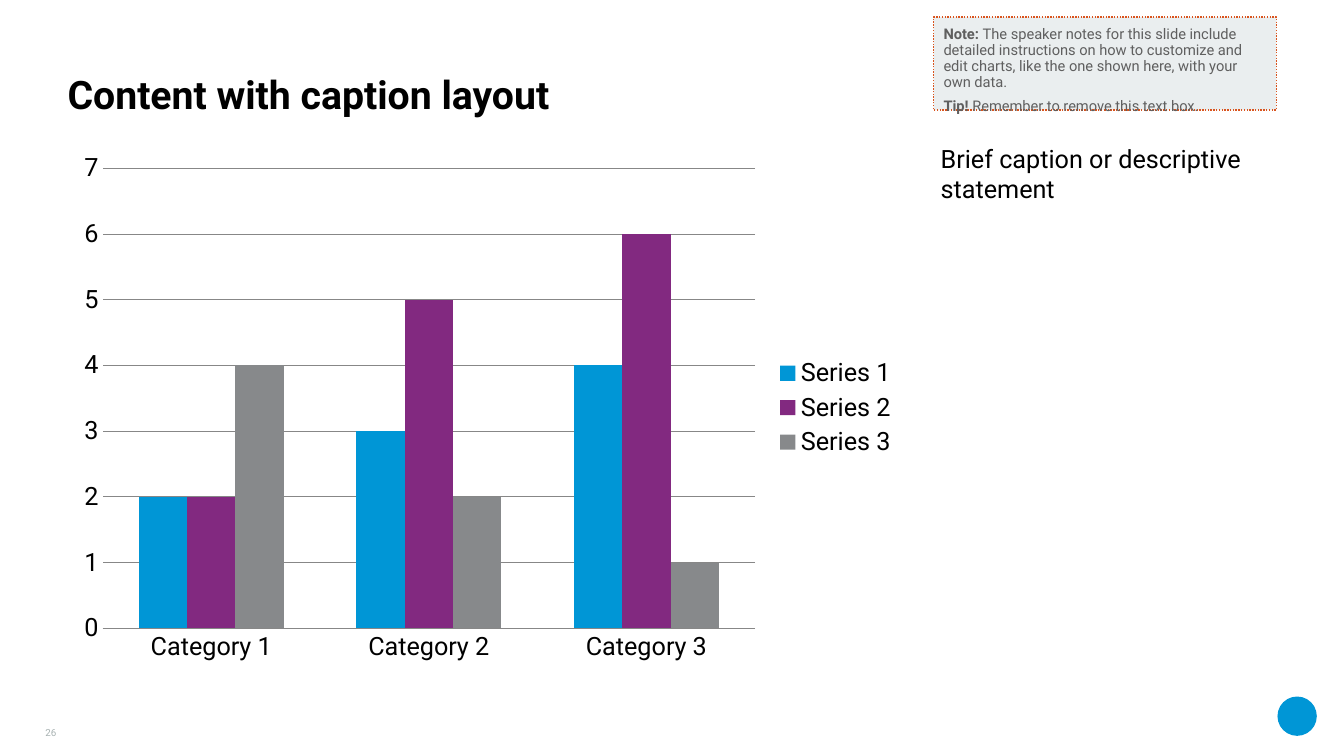
from pptx import Presentation
from pptx.chart.data import CategoryChartData
from pptx.dml.color import RGBColor
from pptx.enum.chart import XL_CHART_TYPE as ChartType
from pptx.enum.chart import XL_LEGEND_POSITION as LegendPosition
from pptx.enum.chart import XL_TICK_MARK as TickMark
from pptx.enum.dml import MSO_LINE_DASH_STYLE as DashStyle
from pptx.enum.shapes import MSO_SHAPE as ShapeKind
from pptx.enum.text import MSO_ANCHOR as Anchor
from pptx.enum.text import PP_ALIGN as Align
from pptx.util import Inches, Pt

FONT = "Roboto"
COLORS = {
    "text": "000000",
    "blue": "0096D6",
    "purple": "822980",
    "gray": "87898B",
    "grid": "878787",
    "plot": "FFFFFF",
    "note_fill": "EAEEEF",
    "note_line": "D9541E",
    "note_text": "5F5F5F",
    "page_number": "A8B2B2",
}
CATEGORIES = ["Category 1", "Category 2", "Category 3"]
SERIES = [
    ("Series 1", (2, 3, 4), "blue"),
    ("Series 2", (2, 5, 6), "purple"),
    ("Series 3", (4, 2, 1), "gray"),
]
NOTES = [
    ("Note: ", "The speaker notes for this slide include detailed instructions on how "
               "to customize and edit charts, like the one shown here, with your own data."),
    ("Tip! ", "Remember to remove this text box."),
]


def color(name):
    return RGBColor.from_string(COLORS[name])


def box(left, top, width, height):
    return [Inches(value) for value in (left, top, width, height)]


def style_font(font, size, color_name, bold=None):
    font.name = FONT
    font.size = Pt(size)
    font.bold = bold
    font.color.rgb = color(color_name)


def style_line(line, color_name, width):
    line.color.rgb = color(color_name)
    line.width = Pt(width)


def set_frame(frame, margin=0, anchor=Anchor.TOP):
    frame.word_wrap = True
    frame.vertical_anchor = anchor
    frame.margin_left = frame.margin_right = Inches(margin)
    frame.margin_top = frame.margin_bottom = Inches(margin)


def add_text(slide, position, text, size, color_name="text", bold=None,
             anchor=Anchor.TOP, align=Align.LEFT):
    frame = slide.shapes.add_textbox(*box(*position)).text_frame
    set_frame(frame, anchor=anchor)
    paragraph = frame.paragraphs[0]
    paragraph.text = text
    paragraph.alignment = align
    style_font(paragraph.font, size, color_name, bold)


def add_filled_shape(slide, kind, position, fill):
    shape = slide.shapes.add_shape(kind, *box(*position))
    shape.shadow.inherit = False
    shape.fill.solid()
    shape.fill.fore_color.rgb = color(fill)
    shape.line.fill.background()
    return shape


def add_note(slide, position):
    shape = add_filled_shape(slide, ShapeKind.RECTANGLE, position, "note_fill")
    style_line(shape.line, "note_line", 1)
    shape.line.dash_style = DashStyle.ROUND_DOT
    frame = shape.text_frame
    set_frame(frame, margin=0.1)
    for index, (label, message) in enumerate(NOTES):
        paragraph = frame.add_paragraph() if index else frame.paragraphs[0]
        paragraph.alignment = Align.LEFT
        paragraph.line_spacing = 0.9
        paragraph.space_before = Pt(6 if index else 0)
        style_font(paragraph.font, 10.5, "note_text")
        for text, bold in ((label, True), (message, False)):
            run = paragraph.add_run()
            run.text = text
            run.font.bold = bold


def add_column_chart(slide, position):
    data = CategoryChartData()
    data.categories = CATEGORIES
    for name, values, _ in SERIES:
        data.add_series(name, values)
    chart = slide.shapes.add_chart(
        ChartType.COLUMN_CLUSTERED, *box(*position), data).chart
    style_font(chart.font, 18, "text")
    chart.has_title = False

    # Legend
    chart.has_legend = True
    chart.legend.position = LegendPosition.RIGHT
    chart.legend.include_in_layout = False
    style_font(chart.legend.font, 18, "text")

    # Axes
    for axis in (chart.category_axis, chart.value_axis):
        axis.major_tick_mark = axis.minor_tick_mark = TickMark.NONE
        style_font(axis.tick_labels.font, 18, "text")
    style_line(chart.category_axis.format.line, "grid", 0.75)
    value_axis = chart.value_axis
    value_axis.minimum_scale, value_axis.maximum_scale = 0, 7
    value_axis.major_unit = 1
    value_axis.format.line.fill.background()
    value_axis.has_major_gridlines = True
    style_line(value_axis.major_gridlines.format.line, "grid", 0.75)

    # Columns
    plot = chart.plots[0]
    plot.gap_width = 150
    plot.vary_by_categories = False
    for series, (_, _, fill) in zip(plot.series, SERIES):
        series.format.fill.solid()
        series.format.fill.fore_color.rgb = color(fill)


def main():
    presentation = Presentation()
    presentation.slide_width = Inches(13.33)
    presentation.slide_height = Inches(7.5)
    slide = presentation.slides.add_slide(presentation.slide_layouts[6])
    slide.background.fill.solid()
    slide.background.fill.fore_color.rgb = color("plot")

    # Corner emblem
    add_filled_shape(slide, ShapeKind.OVAL, (12.67, 6.91, 0.39, 0.39), "blue")

    # Title, chart and caption
    add_text(slide, (0.67, 0.33, 12, 0.83), "Content with caption layout", 28,
             bold=True, anchor=Anchor.BOTTOM)
    add_column_chart(slide, (0.67, 1.42, 8.33, 5.25))
    add_text(slide, (9.33, 1.42, 3.33, 5.25), "Brief caption or descriptive statement", 18)

    # Note and page number
    add_note(slide, (9.26, 0.17, 3.4, 0.92))
    add_text(slide, (0.23, 7.09, 0.33, 0.24), "26", 7, "page_number",
             anchor=Anchor.BOTTOM, align=Align.RIGHT)

    presentation.save("out.pptx")


if __name__ == "__main__":
    main()
